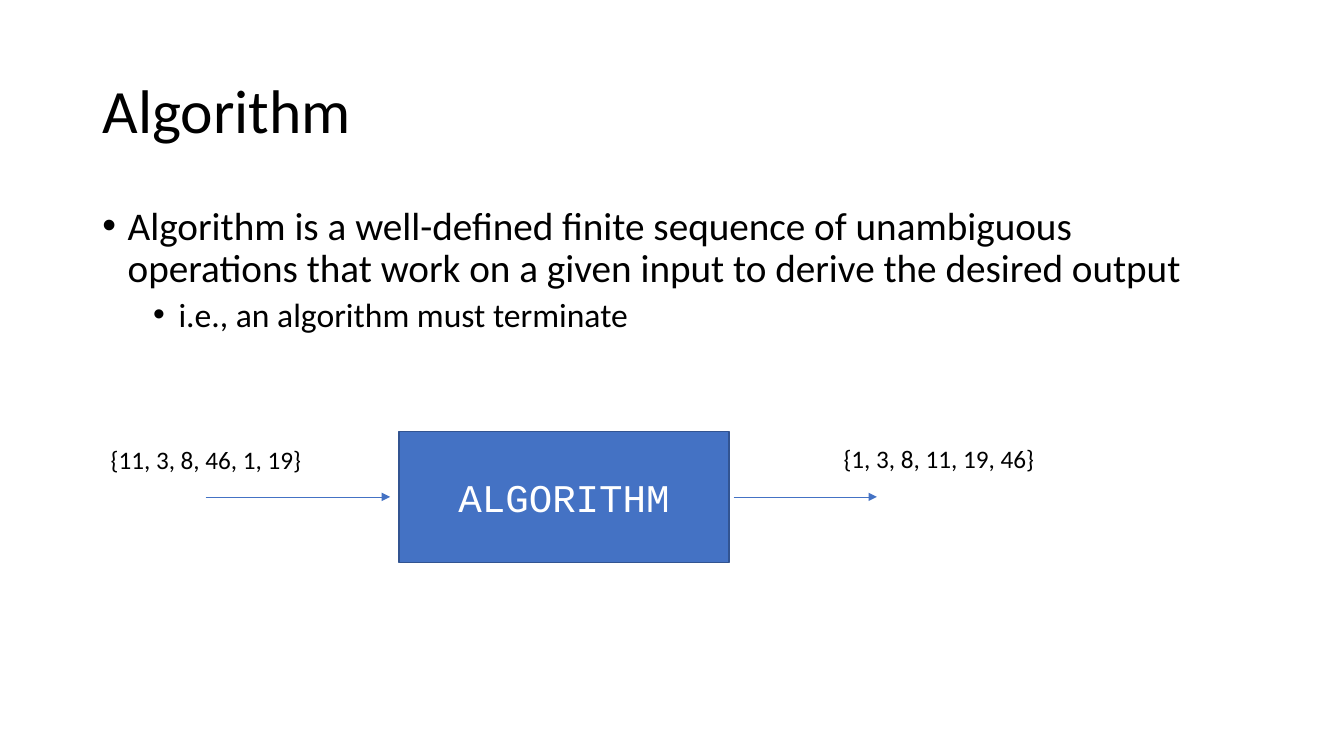
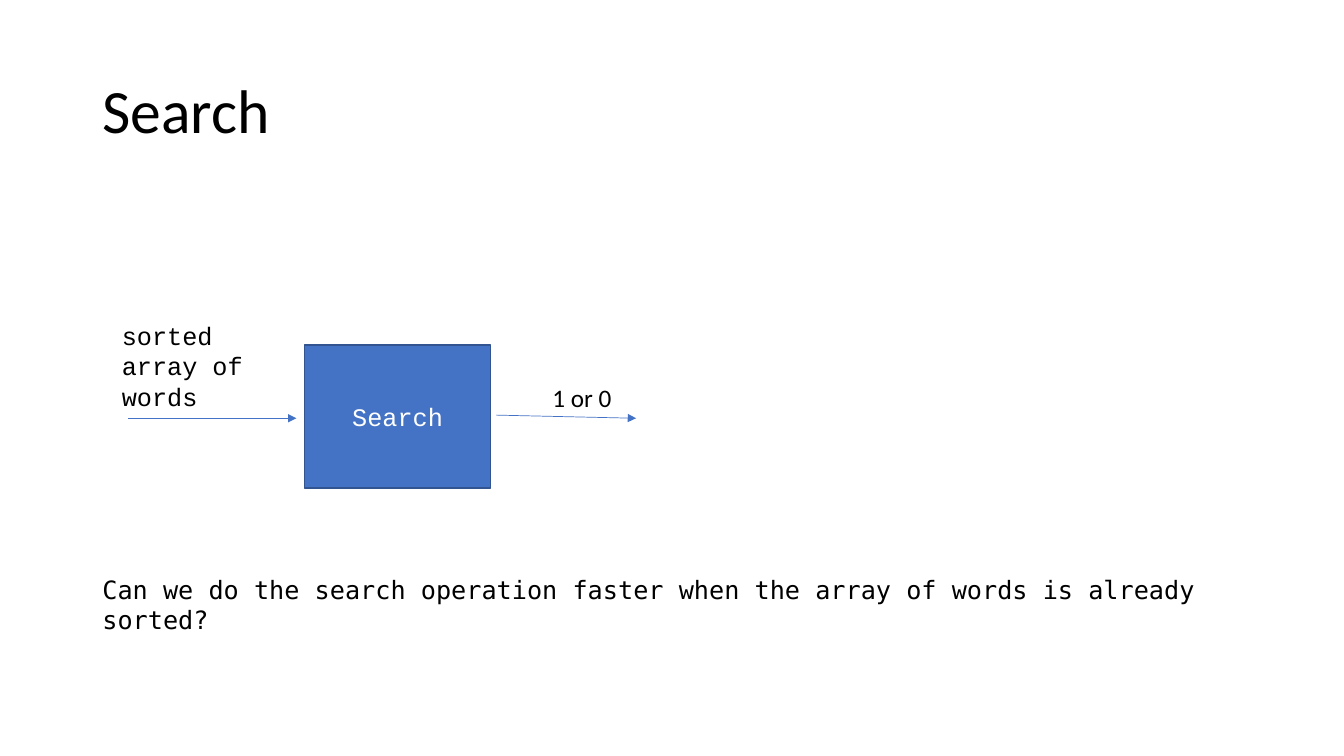
from lxml import etree
from pptx import Presentation
from pptx import util as u
from pptx.dml.color import RGBColor
from pptx.enum import shapes, text
from pptx.oxml.ns import qn

COLORS = {"ink": "000000", "paper": "FFFFFF", "accent": "4472C4", "edge": "325491"}
SANS, CODE, MONO = "Calibri", "Courier New", "DejaVu Sans Mono"
LEFT, WIDTH, INDENT = 2.33, 29.21, 0.64


def color(name):
    """Return the named colour."""
    return RGBColor.from_string(COLORS[name])


def add_bullet(para, level):
    """Give a paragraph a round bullet with a hanging indent."""
    props = para._p.get_or_add_pPr()
    props.set("marL", str(u.Cm(INDENT * (1 + 2 * level))))
    props.set("indent", str(-u.Cm(INDENT)))
    etree.SubElement(props, qn("a:buFont"), typeface="Arial")
    etree.SubElement(props, qn("a:buChar"), char="•")


def write(para, words, size=18, font=SANS, ink="ink", align=text.PP_ALIGN.LEFT,
          spacing=None, before=0, bullet=None):
    """Write formatted text into a paragraph."""
    if bullet is not None:
        add_bullet(para, bullet)
    para.alignment = align
    para.line_spacing = spacing
    para.space_before = u.Pt(before)
    span = para.add_run()
    span.text = words
    span.font.size = u.Pt(size)
    span.font.name = font
    span.font.color.rgb = color(ink)


def add_page(deck, title):
    """Add a page with a styled title."""
    page = deck.slides.add_slide(deck.slide_layouts[5])
    box = page.shapes.title
    box.left, box.top, box.width, box.height = map(u.Cm, (LEFT, 1.02, WIDTH, 3.68))
    frame = box.text_frame
    frame.auto_size = text.MSO_AUTO_SIZE.NONE
    frame.vertical_anchor = text.MSO_ANCHOR.MIDDLE
    write(frame.paragraphs[0], title, size=44, spacing=0.9)
    return page


def add_text(page, area, words, **style):
    """Add a wrapping text box and return its frame."""
    frame = page.shapes.add_textbox(*map(u.Cm, area)).text_frame
    frame.word_wrap = True
    write(frame.paragraphs[0], words, **style)
    return frame


def add_process(page, area, words, size):
    """Add a filled process box with a centred label."""
    box = page.shapes.add_shape(shapes.MSO_SHAPE.RECTANGLE, *map(u.Cm, area))
    box.shadow.inherit = False
    box.fill.solid()
    box.fill.fore_color.rgb = color("accent")
    box.line.color.rgb = color("edge")
    box.line.width = u.Pt(1)
    box.text_frame.vertical_anchor = text.MSO_ANCHOR.MIDDLE
    write(box.text_frame.paragraphs[0], words, size=size, font=CODE, ink="paper",
          align=text.PP_ALIGN.CENTER)


def add_arrow(page, *ends):
    """Add a thin arrow from the first point to the second."""
    arrow = page.shapes.add_connector(shapes.MSO_CONNECTOR.STRAIGHT, *map(u.Cm, ends))
    arrow.line.color.rgb = color("accent")
    arrow.line.width = u.Pt(0.5)
    etree.SubElement(arrow.line._get_or_add_ln(), qn("a:tailEnd"), type="triangle")
    etree.SubElement(arrow._element.spPr, qn("a:effectLst"))


def build_algorithm(deck):
    """Build the page that defines an algorithm."""
    page = add_page(deck, "Algorithm")
    frame = add_text(
        page, (LEFT, 5.08, WIDTH, 4),
        "Algorithm is a well-defined finite sequence of unambiguous operations "
        "that work on a given input to derive the desired output",
        size=28, spacing=0.9, bullet=0)
    write(frame.add_paragraph(), "i.e., an algorithm must terminate",
          size=24, spacing=0.9, before=5, bullet=1)
    add_process(page, (10.06, 10.87, 8.31, 3.3), "ALGORITHM", 28)
    add_arrow(page, 5.18, 12.52, 9.83, 12.52)
    add_arrow(page, 18.49, 12.52, 22.1, 12.52)
    add_text(page, (2.54, 11.07, 6.6, 1.02), "{11, 3, 8, 46, 1, 19}")
    add_text(page, (21.01, 11.05, 6.6, 1.02), "{1, 3, 8, 11, 19, 46}")


def build_search(deck):
    """Build the page about searching a sorted array."""
    page = add_page(deck, "Search")
    add_process(page, (7.67, 8.69, 4.7, 3.61), "Search", 18)
    add_arrow(page, 3.23, 10.54, 7.47, 10.54)
    add_text(page, (2.82, 7.95, 4.7, 2.57), "sorted array of words", font=CODE)
    add_arrow(page, 12.5, 10.46, 16.03, 10.54)
    add_text(page, (13.67, 9.5, 2.57, 1.02), "1 or 0")
    add_text(page, (LEFT, 14.35, 29.51, 1.02),
             "Can we do the search operation faster when the array of words "
             "is already sorted?", font=MONO)


def main():
    """Build and save the deck."""
    deck = Presentation()
    deck.slide_width, deck.slide_height = u.Cm(33.87), u.Cm(19.05)
    build_algorithm(deck)
    build_search(deck)
    deck.save("out.pptx")


if __name__ == "__main__":
    main()
